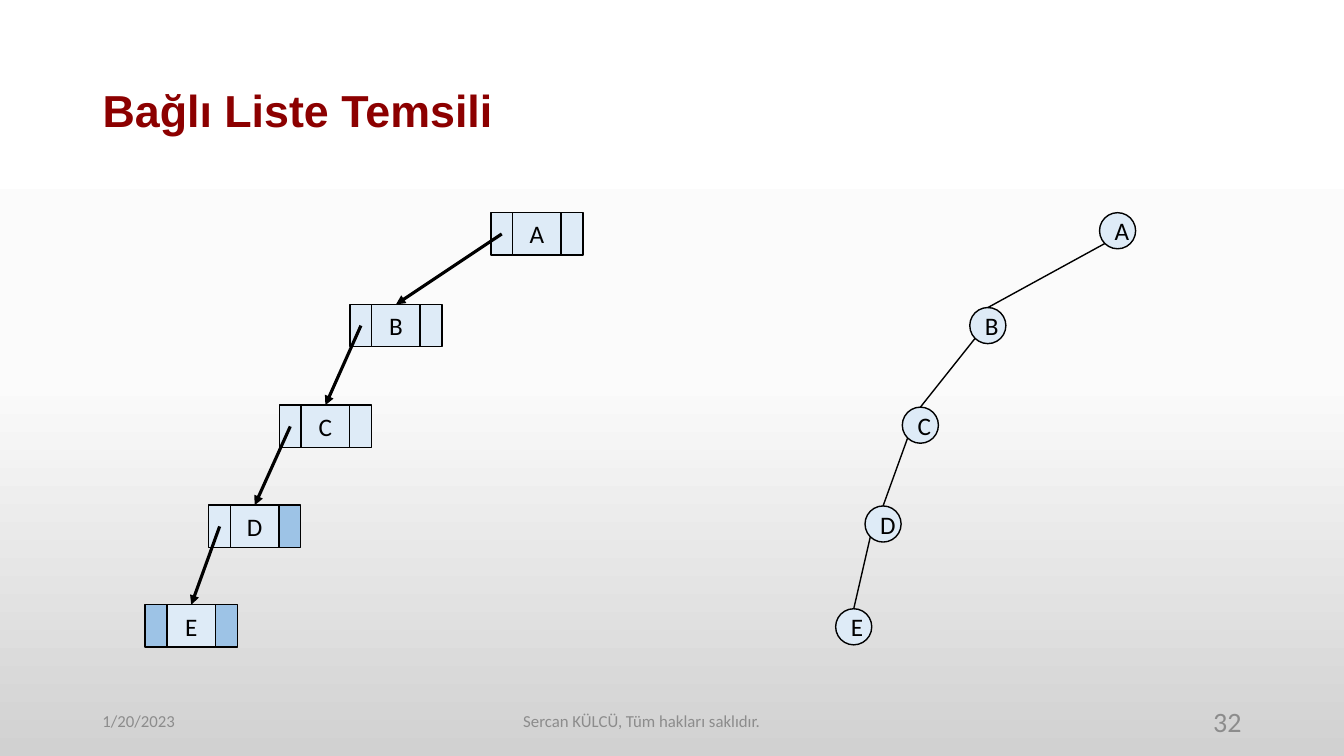
from copy import deepcopy
from math import sqrt

from lxml.etree import SubElement
from pptx import Presentation
from pptx.dml.color import RGBColor
from pptx.enum.shapes import MSO_CONNECTOR as Connector, MSO_SHAPE as Shape
from pptx.enum.text import MSO_ANCHOR as Anchor, PP_ALIGN as Align
from pptx.oxml.ns import qn
from pptx.util import Cm, Pt

COLORS = {
    "title": "8C0000",
    "footer": "8C8C8C",
    "ink": "000000",
    "node": "DEEBF7",
    "empty": "9DC3E6",
}
BACKGROUND_STOPS = [(0, "FFFFFF"), (0.5, "FBFBFB"), (1, "D1D1D1")]
LIST_NODES = [
    ("A", 8.71, 0, "node", "node"),
    ("B", 5.16, 2.31, "node", "node"),
    ("C", 3.38, 4.85, "node", "node"),
    ("D", 1.6, 7.37, "node", "empty"),
    ("E", 0, 9.88, "empty", "empty"),
]
TREE_NODES = [
    ("A", 6.65, 0),
    ("B", 3.38, 2.39),
    ("C", 1.68, 4.9),
    ("D", 0.74, 7.39),
    ("E", 0, 9.98),
]
POINTER_WIDTH, VALUE_WIDTH, CELL_HEIGHT = 0.55, 1.22, 1.07
DIAMETER = 0.91
CIRCLE_INSET = DIAMETER * (1 - sqrt(0.5)) / 2


def write_text(shape, text, size, color, align, bold=False, spacing=1.0):
    frame = shape.text_frame
    frame.word_wrap = True
    frame.vertical_anchor = Anchor.MIDDLE
    paragraph = frame.paragraphs[0]
    paragraph.text = text
    paragraph.alignment = align
    paragraph.line_spacing = spacing
    font_values = {
        "name": "Arial" if bold else "Calibri",
        "size": Pt(size),
        "bold": bold,
    }
    font = paragraph.runs[0].font
    for name, value in font_values.items():
        setattr(font, name, value)
    font.color.rgb = RGBColor.from_string(COLORS[color])


def add_node(slide, kind, box, fill, text=""):
    shape = slide.shapes.add_shape(kind, *map(Cm, box))
    shape.shadow.inherit = False
    shape.fill.solid()
    shape.fill.fore_color.rgb = RGBColor.from_string(COLORS[fill])
    shape.line.color.rgb = RGBColor.from_string(COLORS["ink"])
    shape.line.width = Pt(1)
    if text:
        write_text(shape, text, 18, "ink", Align.CENTER)
    return shape


def add_link(slide, start, target, width, arrow=False):
    left, top = map(Cm, start)
    link = slide.shapes.add_connector(Connector.STRAIGHT, left, top, left, top)
    link.end_connect(target, 0)
    link.line.color.rgb = RGBColor.from_string(COLORS["ink"])
    link.line.width = Pt(width)
    properties = link.element.spPr
    if arrow:
        SubElement(properties.find(qn("a:ln")), qn("a:tailEnd"), type="triangle")
    SubElement(properties, qn("a:effectLst"))


def paint_background(slide):
    fill = slide.background.fill
    fill.gradient()
    fill.gradient_angle = 270
    stop_list = slide.element.find(f".//{qn('a:gsLst')}")
    stop_list.append(deepcopy(stop_list[-1]))
    for stop, (position, color) in zip(fill.gradient_stops, BACKGROUND_STOPS):
        stop.position = position
        stop.color.rgb = RGBColor.from_string(color)


def place_title(slide, box, text):
    title = slide.shapes.title
    for name, value in zip(("left", "top", "width", "height"), box):
        setattr(title, name, Cm(value))
    write_text(title, text, 32, "title", Align.LEFT, bold=True, spacing=0.9)


def add_footer(slide, box):
    left, top, width, height = box
    side_width, middle_width = 7.62, 19.25
    parts = [
        ("1/20/2023", left, side_width, 12, Align.LEFT),
        ("Sercan KÜLCÜ, Tüm hakları saklıdır.", left + 4.22, middle_width, 12, Align.CENTER),
        ("32", left + width - side_width, side_width, 20, Align.RIGHT),
    ]
    for text, part_left, part_width, size, align in parts:
        part = slide.shapes.add_textbox(Cm(part_left), Cm(top), Cm(part_width), Cm(height))
        write_text(part, text, size, "footer", align)


def add_linked_list(slide, left, top):
    value_cells, pointer_centers = [], []
    for text, node_left, node_top, left_fill, right_fill in LIST_NODES:
        cell_left, cell_top = left + node_left, top + node_top
        value_left = cell_left + POINTER_WIDTH
        value_box = (value_left, cell_top, VALUE_WIDTH, CELL_HEIGHT)
        value_cells.append(add_node(slide, Shape.RECTANGLE, value_box, "node", text))
        for pointer_left, fill in (
            (cell_left, left_fill),
            (value_left + VALUE_WIDTH, right_fill),
        ):
            pointer_box = (pointer_left, cell_top, POINTER_WIDTH, CELL_HEIGHT)
            add_node(slide, Shape.RECTANGLE, pointer_box, fill)
        pointer_centers.append((cell_left + POINTER_WIDTH / 2, cell_top + CELL_HEIGHT / 2))
    for start, target in zip(pointer_centers, value_cells[1:]):
        add_link(slide, start, target, 2.25, arrow=True)


def add_tree(slide, left, top):
    start = None
    for text, node_left, node_top in TREE_NODES:
        circle_left, circle_top = left + node_left, top + node_top
        circle_box = (circle_left, circle_top, DIAMETER, DIAMETER)
        circle = add_node(slide, Shape.OVAL, circle_box, "node", text)
        if start:
            add_link(slide, start, circle, 1)
        start = (circle_left + CIRCLE_INSET, circle_top + DIAMETER - CIRCLE_INSET)


def main():
    presentation = Presentation()
    presentation.slide_width = Cm(33.87)
    presentation.slide_height = Cm(19.05)
    slide = presentation.slides.add_slide(presentation.slide_layouts.get_by_name("Title Only"))
    paint_background(slide)
    place_title(slide, (2.33, 1.01, 29.21, 3.68), "Bağlı Liste Temsili")
    add_footer(slide, (2.33, 17.66, 29.21, 1.01))
    add_linked_list(slide, 3.66, 5.36)
    add_tree(slide, 21.06, 5.36)
    presentation.save("out.pptx")


if __name__ == "__main__":
    main()
